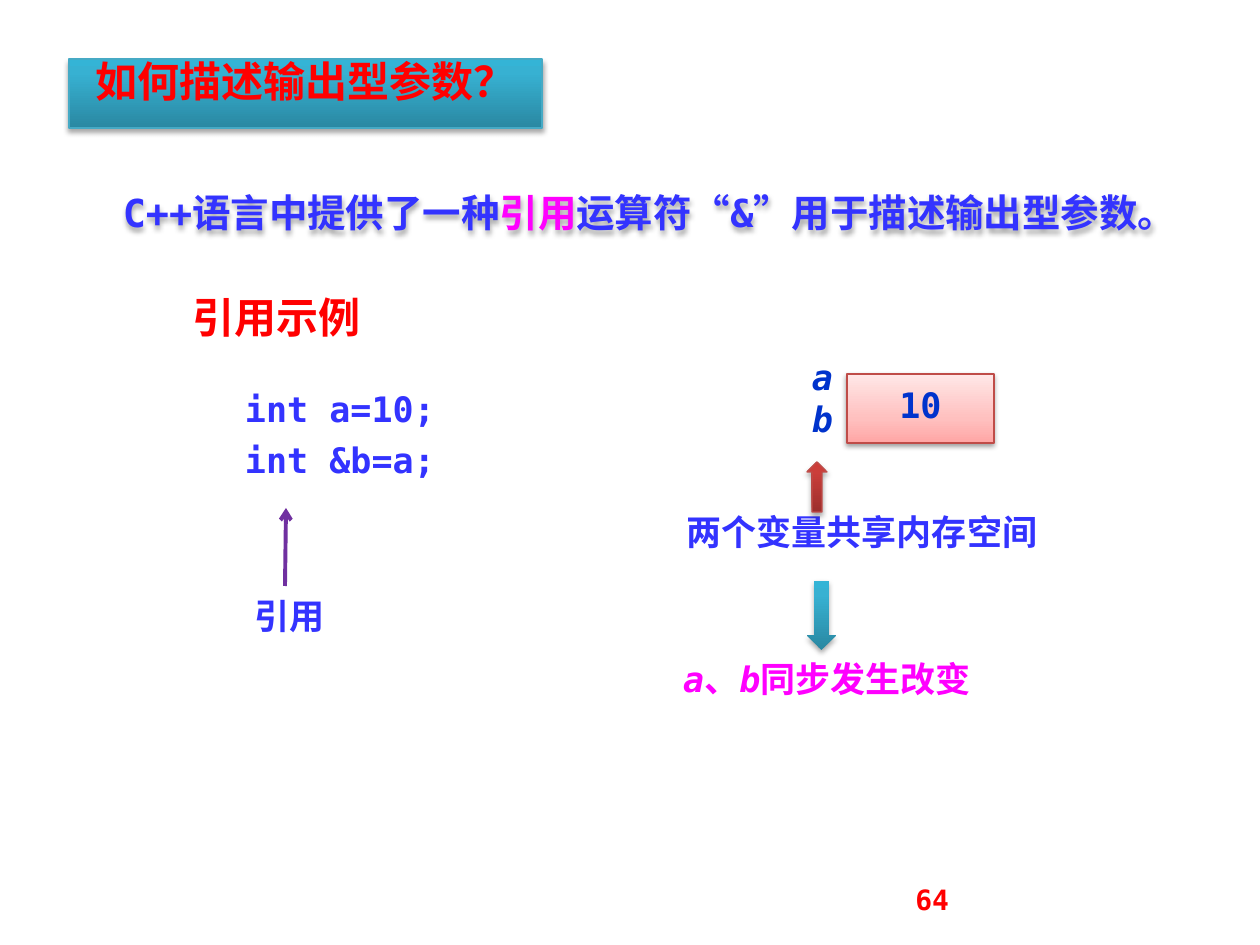
from lxml import etree
from pptx import Presentation
from pptx import util as u
from pptx.dml.color import RGBColor
from pptx.enum import shapes, text
from pptx.oxml import parse_xml
from pptx.oxml.ns import qn

NS = 'xmlns:a="http://schemas.openxmlformats.org/drawingml/2006/main"'
BLUE, NAVY, RED, PINK = "3333FF", "0033CC", "FF0000", "FF00FF"
PURPLE, BRICK, AQUA = "7030A0", "BF4C48", "46AAC5"
ROSE_FILL = ((0, "FFA6A5"), (35, "FFC0BF"), (100, "FFE7E7"))
BRICK_FILL = ((0, "9C2F2D"), (80, "CB3E3A"), (100, "CE3B37"))
AQUA_FILL = ((0, "2A88A2"), (80, "37B1D2"), (100, "34B4D6"))


def px(n):
    return u.Emu(n * 914400 // 126)


def rgb(value):
    return RGBColor.from_string(value)


class Slide:
    latin = "DejaVu Sans Mono"
    asian = "Noto Sans CJK SC"

    def __init__(self, prs):
        self.s = prs.slides.add_slide(prs.slide_layouts[6])

    def shadow(self, sp, alpha=35, dist=1.8):
        sp._element.spPr.append(parse_xml(
            f'<a:effectLst {NS}><a:outerShdw blurRad="{u.Pt(3.1)}" dist="{u.Pt(dist)}" '
            f'dir="5400000" rotWithShape="0"><a:srgbClr val="000000">'
            f'<a:alpha val="{alpha * 1000}"/></a:srgbClr></a:outerShdw></a:effectLst>'))

    def fill_text(self, sp, paragraphs, size=20, color=BLUE, italic=False, font=None,
                  align=text.PP_ALIGN.CENTER, spacing=0.8, anchor=text.MSO_ANCHOR.TOP,
                  inset=True):
        tf = sp.text_frame
        tf.word_wrap = True
        tf.vertical_anchor = anchor
        if not inset:
            tf.margin_left = tf.margin_right = tf.margin_top = tf.margin_bottom = 0
        for i, runs in enumerate(paragraphs):
            p = tf.add_paragraph() if i else tf.paragraphs[0]
            p.alignment = align
            p.line_spacing = spacing
            if i:
                p.space_before = u.Pt(size / 2)
            for words, style in runs:
                r = p.add_run()
                r.text = words
                r.font.size = u.Pt(size)
                r.font.bold = True
                r.font.italic = style.get("italic", italic)
                r.font.color.rgb = rgb(style.get("color", color))
                r.font.name = font or self.latin
                ea = etree.SubElement(r._r.get_or_add_rPr(), qn("a:ea"))
                ea.set("typeface", self.asian)

    def label(self, x, y, w, h, *paragraphs, **style):
        sp = self.s.shapes.add_textbox(px(x), px(y), px(w), px(h))
        self.fill_text(sp, [[(p, {})] if isinstance(p, str) else p for p in paragraphs], **style)
        return sp

    def shape(self, kind, x, y, w, h, stops, line=None, alpha=35, dist=1.8):
        sp = self.s.shapes.add_shape(kind, px(x), px(y), px(w), px(h))
        sp.fill.gradient()
        grad = sp._element.spPr.find(qn("a:gradFill"))
        gs = "".join(f'<a:gs pos="{pos * 1000}"><a:srgbClr val="{c}"/></a:gs>' for pos, c in stops)
        sp._element.spPr.replace(grad, parse_xml(
            f'<a:gradFill {NS} rotWithShape="1"><a:gsLst>{gs}</a:gsLst>'
            f'<a:lin ang="16200000" scaled="0"/></a:gradFill>'))
        if line:
            sp.line.color.rgb = rgb(line)
            sp.line.width = u.Pt(0.75)
        else:
            sp.line.fill.background()
        self.shadow(sp, alpha, dist)
        return sp

    def arrow(self, x1, y1, x2, y2, color, width):
        c = self.s.shapes.add_connector(shapes.MSO_CONNECTOR.STRAIGHT,
                                        px(x1), px(y1), px(x2), px(y2))
        c.line.color.rgb = rgb(color)
        c.line.width = u.Pt(width)
        spPr = c._element.spPr
        etree.SubElement(spPr.find(qn("a:ln")), qn("a:tailEnd")).set("type", "arrow")
        etree.SubElement(spPr, qn("a:effectLst"))


def main():
    prs = Presentation()
    prs.slide_width, prs.slide_height = u.Inches(10), u.Inches(7.5)
    slide = Slide(prs)
    kinds = shapes.MSO_SHAPE

    intro = slide.label(88, 192, 1123, 64, [
        ("C++语言中提供了一种", {}), ("引用", {"color": PINK}),
        ("运算符“&”用于描述输出型参数。", {})], size=22)
    slide.shadow(intro)

    slide.label(217, 389, 246, 127, "int a=10;", "int &b=a;")
    slide.arrow(285, 586, 286, 508, PURPLE, 2.25)
    slide.label(236, 596, 108, 59, "引用")
    slide.label(168, 295, 217, 69, "引用示例", size=24, color=RED)

    for name, y in (("a", 364), ("b", 406)):
        slide.label(808, y, 29, 47, name, color=NAVY, italic=True, inset=False)
    memory = slide.shape(kinds.RECTANGLE, 847, 374, 147, 69, ROSE_FILL, BRICK, 38, 1.6)
    slide.fill_text(memory, [[("10", {})]], color=NAVY, anchor=text.MSO_ANCHOR.MIDDLE)

    slide.label(640, 512, 444, 57, "两个变量共享内存空间", font=slide.asian)
    slide.shape(kinds.UP_ARROW, 807, 462, 20, 50, BRICK_FILL, BRICK)

    title = slide.shape(kinds.RECTANGLE, 69, 59, 473, 69, AQUA_FILL, AQUA)
    slide.fill_text(title, [[("如何描述输出型参数？", {})]], size=24, color=RED)

    slide.shape(kinds.DOWN_ARROW, 807, 581, 29, 69, AQUA_FILL)
    slide.label(640, 659, 374, 57, [
        ("a", {"italic": True}), ("、", {}), ("b", {"italic": True}),
        ("同步发生改变", {})], color=PINK)

    slide.label(903, 876, 294, 50, "64", size=16, color=RED,
                align=text.PP_ALIGN.LEFT, spacing=1.0)
    prs.save("out.pptx")


if __name__ == "__main__":
    main()
